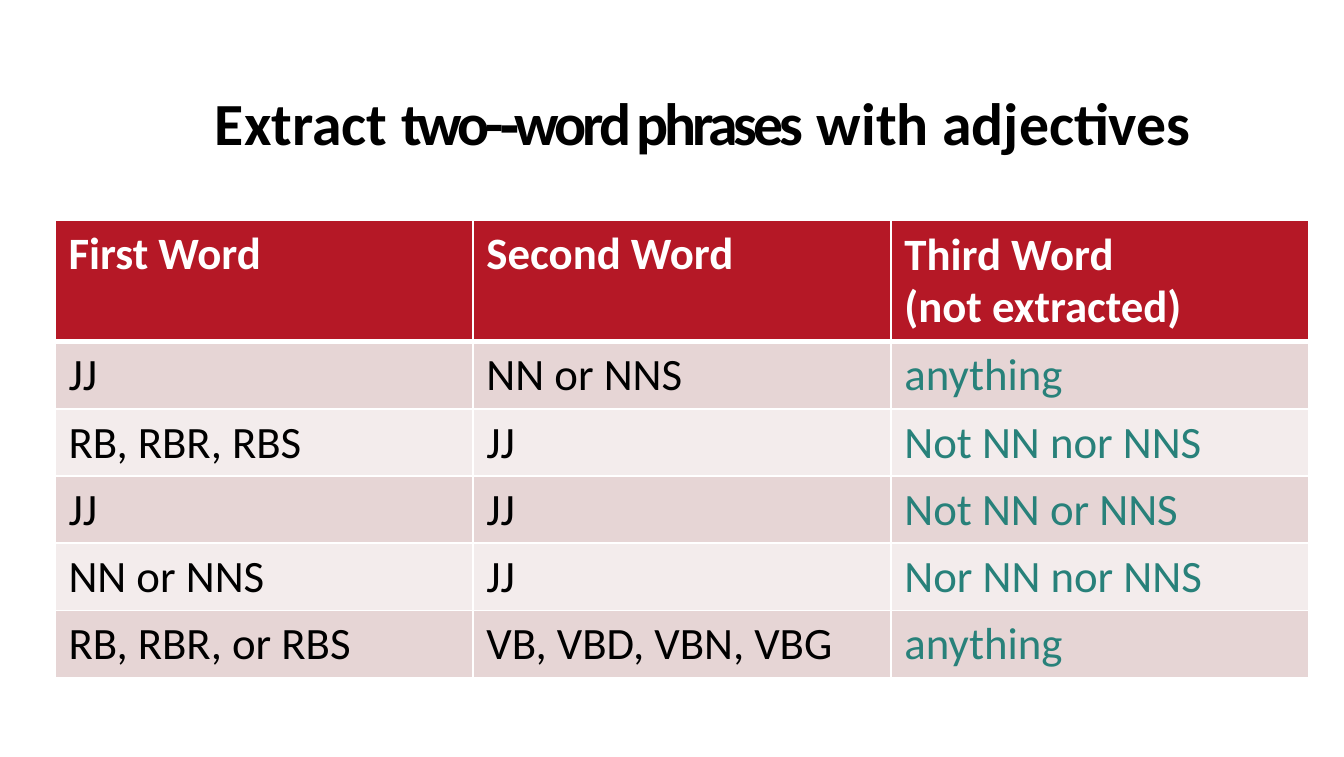
from lxml import etree
from pptx import Presentation
from pptx import util as u
from pptx.dml.color import RGBColor
from pptx.enum import text
from pptx.oxml.ns import qn

FONT = "Calibri"
BLACK, WHITE, RED, TEAL = "000000", "FFFFFF", "B51826", "28817A"
BANDS = ("E6D5D5", "F3ECEC")
COLUMN_WIDTH, HEADER_HEIGHT, ROW_HEIGHT = 3.11, 0.9, 0.5

TITLE_RUNS = [("Extract ", 0), ("two-‐word phrases", -2.2), (" with adjectives", 0)]
ROWS = [
    ("First Word", "Second Word", "Third Word\v(not extracted)"),
    ("JJ", "NN or NNS", "anything"),
    ("RB, RBR, RBS", "JJ", "Not NN nor NNS"),
    ("JJ", "JJ", "Not NN or NNS"),
    ("NN or NNS", "JJ", "Nor NN nor NNS"),
    ("RB, RBR, or RBS", "VB, VBD, VBN, VBG", "anything"),
]


def color(value):
    return RGBColor.from_string(value)


def set_font(font, size, value, bold):
    font.name = FONT
    font.size = u.Pt(size)
    font.bold = bold
    font.color.rgb = color(value)


def set_margins(target, left, top):
    target.margin_left, target.margin_top = u.Inches(left), u.Inches(top)
    target.margin_right = target.margin_bottom = 0


def add_title(slide):
    box = slide.shapes.add_textbox(
        u.Inches(1.59), u.Inches(0.63), u.Inches(7.67), u.Inches(0.56))
    frame = box.text_frame
    frame.word_wrap = True
    frame.auto_size = text.MSO_AUTO_SIZE.SHAPE_TO_FIT_TEXT
    set_margins(frame, 0.01, 0.01)
    paragraph = frame.paragraphs[0]
    set_font(paragraph.font, 32, BLACK, True)
    for words, spacing in TITLE_RUNS:
        run = paragraph.add_run()
        run.text = words
        # Letter spacing is stored in hundredths of a point
        run.font._element.set("spc", str(round(spacing * 100)))


def add_borders(cell, top, bottom):
    properties = cell._tc.get_or_add_tcPr()
    for side, width in (("lnL", 1), ("lnR", 1), ("lnT", top), ("lnB", bottom)):
        line = etree.SubElement(properties, qn(f"a:{side}"), w=str(u.Pt(width)))
        fill = etree.SubElement(line, qn("a:solidFill"))
        etree.SubElement(fill, qn("a:srgbClr"), val=WHITE)


def fill_cell(cell, words, row, column):
    header = row == 0
    # A thick rule separates the header from the body
    add_borders(cell, 3 if row == 1 else 1, 3 if header else 1)
    cell.fill.solid()
    cell.fill.fore_color.rgb = color(RED if header else BANDS[(row - 1) % 2])
    two_lines = "\v" in words
    set_margins(cell, 0.1, 0.07 if two_lines else 0.05)
    cell.text = words
    paragraph = cell.text_frame.paragraphs[0]
    if two_lines:
        paragraph.line_spacing = u.Pt(28)
    body_color = TEAL if column == 2 else BLACK
    set_font(paragraph.font, 24, WHITE if header else body_color, header)


def add_phrase_table(slide):
    columns = len(ROWS[0])
    height = HEADER_HEIGHT + ROW_HEIGHT * (len(ROWS) - 1)
    table = slide.shapes.add_table(
        len(ROWS), columns, u.Inches(0.41), u.Inches(1.64),
        u.Inches(COLUMN_WIDTH * columns), u.Inches(height)).table
    for column in table.columns:
        column.width = u.Inches(COLUMN_WIDTH)
    for row, entries in enumerate(ROWS):
        table.rows[row].height = u.Inches(ROW_HEIGHT if row else HEADER_HEIGHT)
        for column, words in enumerate(entries):
            fill_cell(table.cell(row, column), words, row, column)


def main():
    presentation = Presentation()
    presentation.slide_width = u.Inches(10)
    presentation.slide_height = u.Inches(5.63)
    slide = presentation.slides.add_slide(presentation.slide_layouts[6])
    add_title(slide)
    add_phrase_table(slide)
    presentation.save("out.pptx")


if __name__ == "__main__":
    main()
